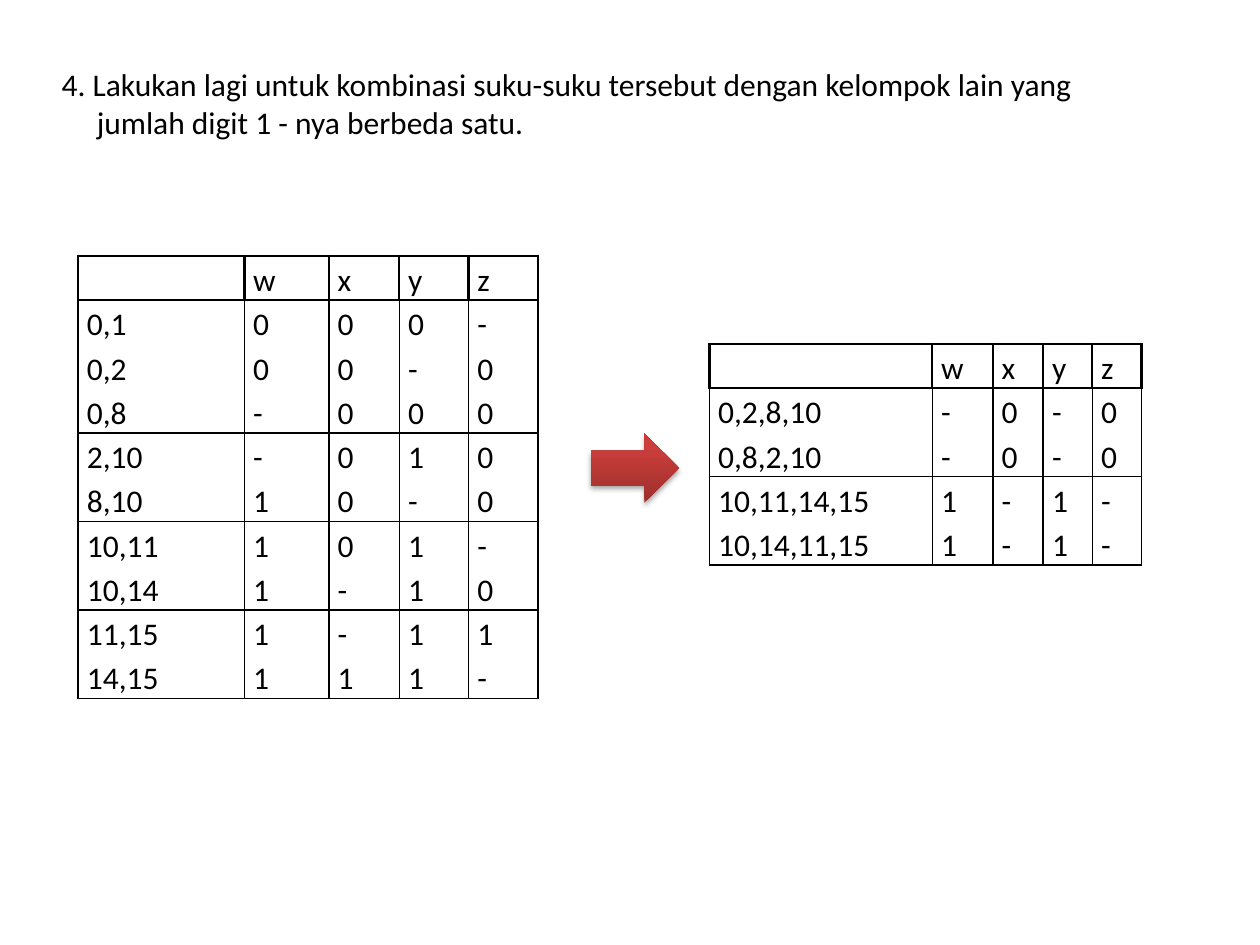
"""Build a slide that combines minterm groups into a smaller table."""
from copy import deepcopy
from dataclasses import dataclass

from lxml.etree import SubElement
from pptx import Presentation
from pptx.dml.color import RGBColor
from pptx.enum.shapes import MSO_SHAPE as Preset
from pptx.oxml.ns import qn
from pptx.util import Inches, Pt

FONT = "Calibri"
BLACK = "000000"
ROW_HEIGHT = 0.35
HEADER = ("", "w", "x", "y", "z")


@dataclass(frozen=True)
class TermTable:
    left: float
    top: float
    widths: tuple[float, ...]
    groups: tuple[tuple[str, ...], ...]


TABLES = (
    TermTable(5.63, 2.73, (1.77, 0.48, 0.4, 0.39, 0.39), (
        ("0,2,8,10 - 0 - 0", "0,8,2,10 - 0 - 0"),
        ("10,11,14,15 1 - 1 -", "10,14,11,15 1 - 1 -"),
    )),
    TermTable(0.62, 2.03, (1.32, 0.67, 0.56, 0.55, 0.55), (
        ("0,1 0 0 0 -", "0,2 0 0 - 0", "0,8 - 0 0 0"),
        ("2,10 - 0 1 0", "8,10 1 0 - 0"),
        ("10,11 1 0 1 -", "10,14 1 - 1 0"),
        ("11,15 1 - 1 1", "14,15 1 1 1 -"),
    )),
)


def color(value: str) -> RGBColor:
    return RGBColor.from_string(value)


def write(para, text: str, *, size: float = 18, indent: float = 0,
          spacing: float | None = None) -> None:
    span = para.add_run()
    span.text = text
    span.font.name = FONT
    span.font.size = Pt(size)
    span.font.color.rgb = color(BLACK)
    if spacing:
        para.line_spacing = spacing
    if indent:
        para._p.get_or_add_pPr().set("marL", str(Inches(indent)))


def set_borders(cell, **widths: float) -> None:
    properties = cell._tc.get_or_add_tcPr()
    for index, side in enumerate("LRTB"):
        width = widths[side]
        line = SubElement(properties, qn(f"a:ln{side}"), w=str(Pt(width)))
        if width:
            fill = SubElement(line, qn("a:solidFill"))
            SubElement(fill, qn("a:srgbClr"), val=BLACK)
        else:
            SubElement(line, qn("a:noFill"))
        properties.insert(index, line)


def draw_table(page, spec: TermTable) -> None:
    rows = [HEADER] + [tuple(term.split()) for group in spec.groups for term in group]
    rules = [1.5, 1.5]
    for group in spec.groups:
        rules += [0] * (len(group) - 1) + [1]
    frame = page.shapes.add_table(
        len(rows), len(HEADER), Inches(spec.left), Inches(spec.top),
        Inches(sum(spec.widths)), Inches(ROW_HEIGHT * len(rows)))
    table = frame.table
    table.first_row = table.horz_banding = False
    for column, width in zip(table.columns, spec.widths):
        column.width = Inches(width)
    for number, values in enumerate(rows):
        table.rows[number].height = Inches(ROW_HEIGHT)
        side = 1 if number else 1.5
        for cell, text in zip(table.rows[number].cells, values):
            cell.margin_left = cell.margin_right = Inches(0.07)
            cell.margin_top = cell.margin_bottom = 0
            cell.fill.background()
            write(cell.text_frame.paragraphs[0], text, spacing=1.15)
            set_borders(cell, L=side, R=side, T=rules[number], B=rules[number + 1])


def draw_arrow(page, left: float, top: float, width: float, height: float) -> None:
    arrow = page.shapes.add_shape(
        Preset.RIGHT_ARROW, Inches(left), Inches(top), Inches(width), Inches(height))
    arrow.line.fill.background()
    arrow.fill.gradient()
    arrow.fill.gradient_angle = 90
    properties = arrow._element.spPr
    stops = properties.find(f".//{qn('a:gsLst')}")
    stops.append(deepcopy(stops[-1]))
    shades = ((0, "9C2F2D"), (0.8, "CB3E3A"), (1, "CE3B37"))
    for stop, (position, shade) in zip(arrow.fill.gradient_stops, shades):
        stop.position = position
        stop.color.rgb = color(shade)
    arrow.shadow.inherit = False
    shadow = SubElement(
        properties.find(qn("a:effectLst")), qn("a:outerShdw"),
        blurRad=str(Pt(3.1)), dist=str(Pt(1.8)), dir="5400000", rotWithShape="0")
    tint = SubElement(shadow, qn("a:srgbClr"), val=BLACK)
    SubElement(tint, qn("a:alpha"), val="35000")


def draw_instruction(page) -> None:
    box = page.shapes.add_textbox(Inches(0.39), Inches(0.47), Inches(8.98), Inches(0.71))
    frame = box.text_frame
    frame.word_wrap = True
    write(frame.paragraphs[0],
          "4. Lakukan lagi untuk kombinasi suku-suku tersebut dengan kelompok lain yang")
    write(frame.add_paragraph(), "jumlah digit 1 - nya berbeda satu.", indent=0.28)


def main() -> None:
    deck = Presentation()
    deck.slide_width, deck.slide_height = Inches(10), Inches(7.5)
    page = deck.slides.add_slide(deck.slide_layouts[6])
    for spec in TABLES:
        draw_table(page, spec)
    draw_arrow(page, 4.69, 3.44, 0.7, 0.55)
    draw_instruction(page)
    deck.save("out.pptx")


if __name__ == "__main__":
    main()
